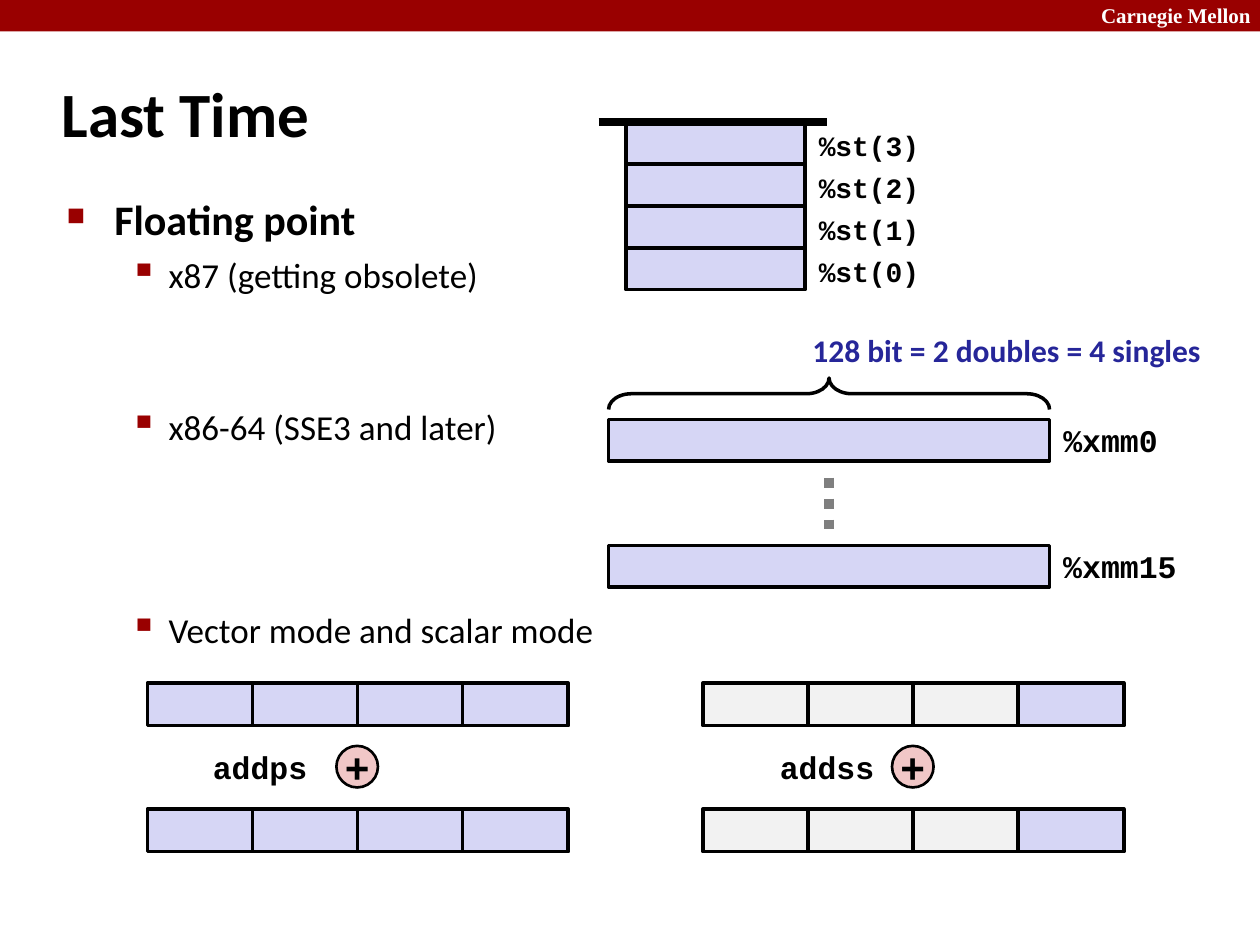
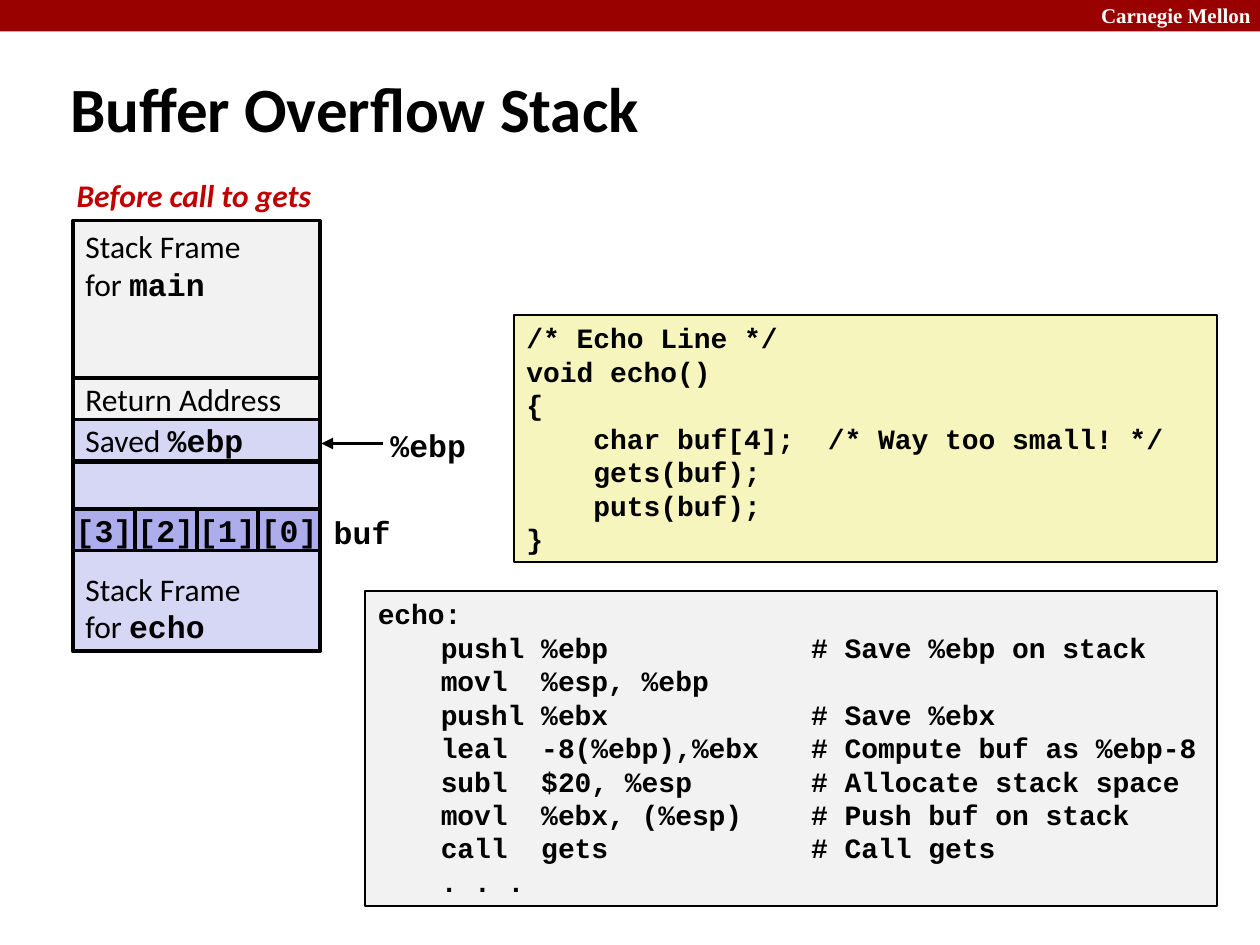
from dataclasses import dataclass

from lxml.etree import SubElement
from pptx import Presentation
from pptx.dml.color import RGBColor
from pptx.enum.dml import MSO_LINE
from pptx.enum.shapes import MSO_CONNECTOR, MSO_SHAPE
from pptx.enum.text import MSO_ANCHOR, PP_ALIGN
from pptx.oxml.ns import qn
from pptx.util import Inches, Pt


@dataclass(frozen=True)
class Theme:
    """Colours, fonts and type sizes of the deck."""
    ink: str = "000000"
    white: str = "FFFFFF"
    band: str = "990000"
    accent: str = "C00000"
    note: str = "262699"
    register: str = "D6D6F5"
    buffer: str = "ADADEB"
    unused: str = "F2F2F2"
    operator: str = "F1C7C7"
    source_code: str = "F6F5BD"
    dots: str = "7F7F7F"
    sans: str = "Calibri"
    mono: str = "Courier New"
    serif: str = "Times New Roman"
    title: int = 36
    topic: int = 24
    point: int = 20
    label: int = 18
    code: int = 16
    header: int = 12


THEME = Theme()


def write_text(frame, text, size=THEME.label, font=THEME.sans, color=THEME.ink,
               bold=False, italic=False, align=PP_ALIGN.LEFT,
               anchor=MSO_ANCHOR.TOP, wrap=False, inset=0.1, tabs=(), leading=None):
    """Fill a frame, one paragraph a line, with `marked` words in bold code type."""
    frame.word_wrap = wrap
    frame.vertical_anchor = anchor
    frame.margin_left = frame.margin_right = Inches(inset)
    frame.margin_top = frame.margin_bottom = Inches(0.05)
    for number, line in enumerate(text.split("\n")):
        paragraph = frame.add_paragraph() if number else frame.paragraphs[0]
        paragraph.alignment = align
        if leading:
            paragraph.line_spacing = Pt(leading)
        if tabs:
            stops = SubElement(paragraph._p.get_or_add_pPr(), qn("a:tabLst"))
            for stop in tabs:
                SubElement(stops, qn("a:tab"), pos=str(Inches(stop)), algn="l")
        for part, words in enumerate(line.split("`")):
            if not words:
                continue
            is_code = part % 2 == 1
            run = paragraph.add_run()
            run.text = words
            run.font.name = THEME.mono if is_code else font
            run.font.size = Pt(size)
            run.font.bold = bold or is_code
            run.font.italic = italic
            run.font.color.rgb = RGBColor.from_string(color)


class Deck:
    """The presentation, its style and the slide being drawn."""

    def __init__(self, theme):
        """Start an empty deck of 10 by 7.5 inches."""
        self.theme = theme
        self.presentation = Presentation()
        self.presentation.slide_width = Inches(10)
        self.presentation.slide_height = Inches(7.5)
        self.slide = None

    def start_slide(self, title, left, top, width, height):
        """Add a slide with the header band and a title."""
        theme = self.theme
        self.slide = self.presentation.slides.add_slide(
            self.presentation.slide_layouts[6])
        self.box(0, 0, 10, 0.25, theme.band, line=0)
        self.text("Carnegie Mellon", 8.64, -0.03, 1.43, 0.3, size=theme.header,
                  font=theme.serif, color=theme.white, bold=True)
        self.text(title, left, top, width, height, size=theme.title, bold=True,
                  anchor=MSO_ANCHOR.MIDDLE, wrap=True)

    def text(self, text, left, top, width, height=0.4, **style):
        """Add a text box."""
        holder = self.slide.shapes.add_textbox(
            Inches(left), Inches(top), Inches(width), Inches(height))
        write_text(holder.text_frame, text, **style)
        return holder

    def code_label(self, text, left, top, width, height=0.4, size=THEME.label):
        """Add a bold label in code type."""
        self.text(text, left, top, width, height, size=size,
                  font=self.theme.mono, bold=True)

    def box(self, left, top, width, height, fill, line=2, text="",
            outline=MSO_SHAPE.RECTANGLE, **style):
        """Add a filled shape, with text where given."""
        shape = self.slide.shapes.add_shape(
            outline, Inches(left), Inches(top), Inches(width), Inches(height))
        shape.shadow.inherit = False
        shape.fill.solid()
        shape.fill.fore_color.rgb = RGBColor.from_string(fill)
        if line:
            shape.line.color.rgb = RGBColor.from_string(self.theme.ink)
            shape.line.width = Pt(line)
        else:
            shape.line.fill.background()
        if text:
            write_text(shape.text_frame, text, **style)

    def brace(self, left, top, width, height):
        """Add a brace that opens downwards over a span."""
        middle, center = left + width / 2, top + height / 2
        brace = self.slide.shapes.add_shape(
            MSO_SHAPE.LEFT_BRACE, Inches(middle - height / 2),
            Inches(center - width / 2), Inches(height), Inches(width))
        brace.rotation = 90
        brace.adjustments[0] = 0.72
        brace.shadow.inherit = False
        brace.fill.background()
        brace.line.color.rgb = RGBColor.from_string(self.theme.ink)
        brace.line.width = Pt(2)

    def line(self, start, end, width, color=THEME.ink, dash=None, arrow=False):
        """Add a straight line, with an arrowhead at its end on request."""
        connector = self.slide.shapes.add_connector(
            MSO_CONNECTOR.STRAIGHT, *(Inches(value) for value in (*start, *end)))
        connector.line.color.rgb = RGBColor.from_string(color)
        connector.line.width = Pt(width)
        if dash:
            connector.line.dash_style = dash
        if arrow:
            SubElement(connector.line._get_or_add_ln(), qn("a:tailEnd"), type="triangle")
        SubElement(connector._element.spPr, qn("a:effectLst"))

    def outline(self, topic, points, left, top, width, height):
        """Add a bulleted topic and its points, each with its space before."""
        theme = self.theme
        holder = self.text(topic, left, top, width, height, size=theme.topic,
                           bold=True, wrap=True)
        frame = holder.text_frame
        self.bullet(frame.paragraphs[0], "■", 60, 0.38, 0.38)
        for point, space in points:
            paragraph = frame.add_paragraph()
            paragraph.level = 1
            self.bullet(paragraph, "▪", 110, 0.81, 0.31)
            paragraph.space_before = Pt(space)
            paragraph.text = point
            paragraph.font.name = theme.sans
            paragraph.font.size = Pt(theme.point)
            paragraph.font.color.rgb = RGBColor.from_string(theme.ink)

    def bullet(self, paragraph, mark, percent, margin, hang):
        """Give a paragraph a coloured bullet and a hanging indent."""
        properties = paragraph._p.get_or_add_pPr()
        properties.set("marL", str(Inches(margin)))
        properties.set("indent", str(-Inches(hang)))
        color = SubElement(properties, qn("a:buClr"))
        SubElement(color, qn("a:srgbClr"), val=self.theme.band)
        SubElement(properties, qn("a:buSzPct"), val=str(percent * 1000))
        SubElement(properties, qn("a:buChar"), char=mark)

    def vector_add(self, name, left, name_left, lane_fills):
        """Draw two four-lane registers with an add operation between them."""
        lane_pitch = 2.5 / 3
        for top in (5.42, 6.42):
            for lane, fill in enumerate(lane_fills):
                self.box(left + lane * lane_pitch, top, 0.84, 0.34, fill)
        self.box(left + 1.5, 5.92, 0.33, 0.33, self.theme.operator, line=1.5,
                 text="+", outline=MSO_SHAPE.OVAL, size=self.theme.topic,
                 font=self.theme.mono, bold=True, align=PP_ALIGN.CENTER,
                 anchor=MSO_ANCHOR.MIDDLE, inset=0.05)
        self.code_label(name, name_left, 5.89, 0.95)

    def code_panel(self, code, left, top, width, height, fill, tabs=()):
        """Add a framed listing."""
        self.box(left, top, width, height, fill, line=1, text=code,
                 size=self.theme.code, font=self.theme.mono, bold=True,
                 wrap=True, tabs=tabs, leading=19.1)


def draw_last_time(deck):
    """Draw the recap of floating point registers."""
    theme = deck.theme
    deck.start_slide("Last Time", 0.39, 0.48, 8.3, 0.83)
    deck.outline("Floating point",
                 [("x87 (getting obsolete)", 5), ("x86-64 (SSE3 and later)", 63),
                  ("Vector mode and scalar mode", 92)],
                 0.43, 1.49, 8.64, 5.44)

    for row in range(4):
        top = 0.97 + row / 3
        deck.box(4.97, top, 1.42, 0.33, theme.register)
        deck.code_label(f"%st({3 - row})", 6.4, top, 1, 0.37, size=theme.code)
    deck.line((4.75, 0.97), (6.56, 0.97), 4.5)

    for name, top, width in (("%xmm0", 3.33, 0.95), ("%xmm15", 4.33, 1.1)):
        deck.box(4.83, top, 3.5, 0.33, theme.register)
        deck.code_label(name, 8.34, top - 0.04, width)
    deck.brace(4.83, 3, 3.5, 0.25)
    deck.text("128 bit = 2 doubles = 4 singles", 6.35, 2.58, 3.4,
              color=theme.note, bold=True)
    deck.line((6.58, 3.79), (6.58, 4.2), 6, theme.dots, MSO_LINE.ROUND_DOT)

    deck.vector_add("addps", 1.17, 1.59, [theme.register] * 4)
    deck.vector_add("addss", 5.58, 6.09, [theme.unused] * 3 + [theme.register])


ECHO_C = """/* Echo Line */
void echo()
{
    char buf[4];  /* Way too small! */
    gets(buf);
    puts(buf);
}"""

ECHO_ASSEMBLY = """echo:
\tpushl %ebp\t# Save %ebp on stack
\tmovl  %esp, %ebp
\tpushl %ebx\t# Save %ebx
\tleal  -8(%ebp),%ebx\t# Compute buf as %ebp-8
\tsubl  $20, %esp\t# Allocate stack space
\tmovl  %ebx, (%esp)\t# Push buf on stack
\tcall  gets\t# Call gets
\t. . ."""


def draw_buffer_overflow(deck):
    """Draw the stack before the call to gets, beside the code."""
    theme = deck.theme
    deck.start_slide("Buffer Overflow Stack", 0.46, 0.54, 7.1, 0.63)
    deck.code_panel(ECHO_ASSEMBLY, 2.9, 4.69, 6.76, 2.5, theme.unused,
                    tabs=(0.5, 3.44))
    deck.code_panel(ECHO_C, 4.08, 2.5, 5.58, 1.96, theme.source_code)

    deck.text("Before call to gets", 0.51, 1.35, 2.07, color=theme.accent,
              bold=True, italic=True)
    stack_left, stack_width = 0.58, 1.96
    stack = [
        ("Return Address", 3, 0.33, theme.unused, MSO_ANCHOR.MIDDLE),
        ("Saved `%ebp`", 3.33, 0.33, theme.register, MSO_ANCHOR.MIDDLE),
        ("Stack Frame\nfor `main`", 1.75, 1.25, theme.unused, MSO_ANCHOR.TOP),
        ("Stack Frame\nfor `echo`", 3.67, 1.5, theme.register, MSO_ANCHOR.BOTTOM),
    ]
    for content, top, height, fill, anchor in stack:
        deck.box(stack_left, top, stack_width, height, fill, line=2.25,
                 text=content, anchor=anchor)
    byte_width = stack_width / 4
    for column in range(4):
        deck.box(stack_left + column * byte_width, 4.04, byte_width, 0.33,
                 theme.buffer, line=2.25, text=f"[{3 - column}]", font=theme.mono,
                 bold=True, align=PP_ALIGN.CENTER, anchor=MSO_ANCHOR.MIDDLE)
    deck.code_label("buf", 2.55, 4.02, 0.65)
    deck.line((3.04, 3.52), (2.55, 3.52), 2.25, arrow=True)
    deck.code_label("%ebp", 3, 3.33, 0.8)


def main():
    """Build and save the deck."""
    deck = Deck(THEME)
    draw_last_time(deck)
    draw_buffer_overflow(deck)
    deck.presentation.save("out.pptx")


if __name__ == "__main__":
    main()
